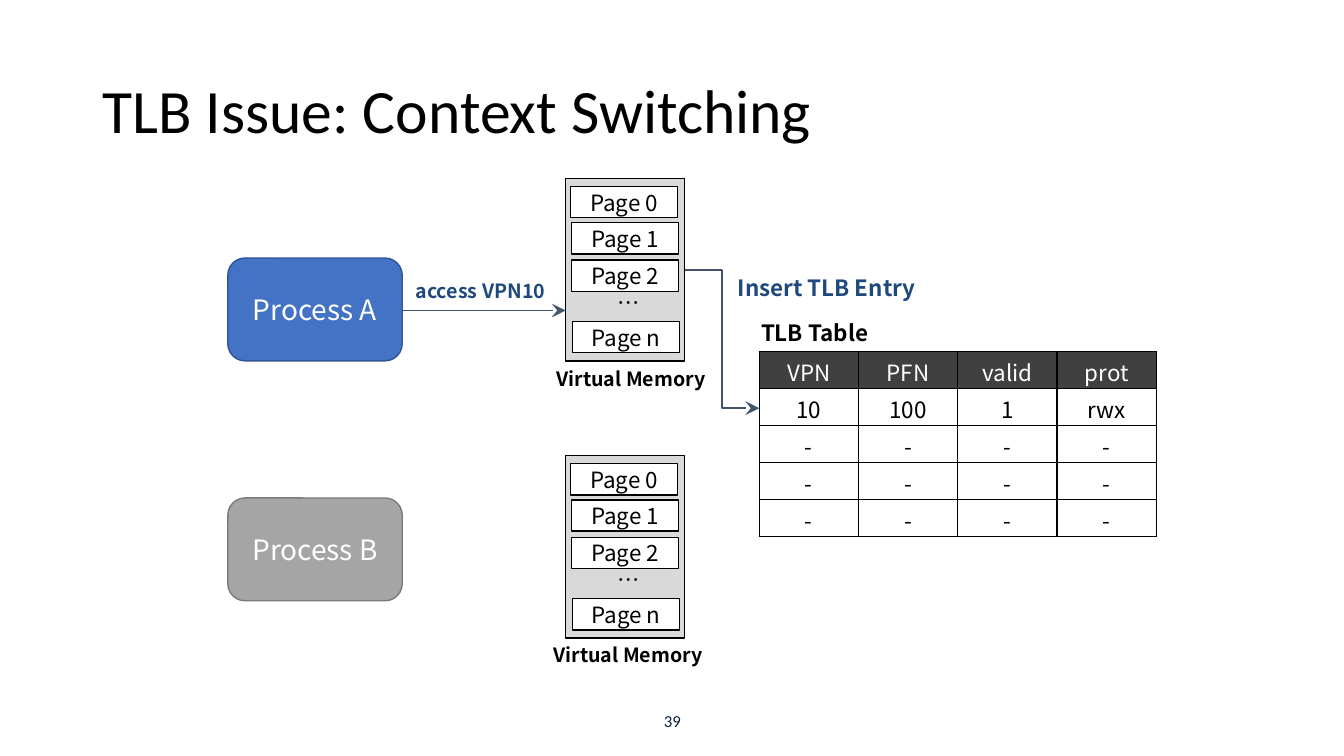
from pptx import Presentation
from pptx.dml.color import RGBColor
from pptx.enum.shapes import MSO_CONNECTOR, MSO_SHAPE
from pptx.enum.text import MSO_ANCHOR, PP_ALIGN
from pptx.oxml.ns import qn
from pptx.util import Inches, Pt
from lxml import etree

RECT, ROUND = MSO_SHAPE.RECTANGLE, MSO_SHAPE.ROUNDED_RECTANGLE
STRAIGHT, ELBOW = MSO_CONNECTOR.STRAIGHT, MSO_CONNECTOR.ELBOW
TOP, MIDDLE = MSO_ANCHOR.TOP, MSO_ANCHOR.MIDDLE
LEFT, CENTER = PP_ALIGN.LEFT, PP_ALIGN.CENTER
SANS = "Noto Sans CJK KR"
BLACK, WHITE, NAVY, SLATE = "000000", "FFFFFF", "1F497D", "44546A"


def color(code):
    return RGBColor.from_string(code)


def write(frame, text, size, ink=BLACK, bold=False, font=SANS, align=CENTER,
          **form):
    """Put one styled paragraph in a text frame; form holds frame settings."""
    for name, value in form.items():
        setattr(frame, name, value)
    para = frame.paragraphs[0]
    para.alignment = align
    run = para.add_run()
    run.text = text
    for name, value in {"size": Pt(size), "bold": bold, "name": font}.items():
        setattr(run.font, name, value)
    run.font.color.rgb = color(ink)
    return para


deck = Presentation()
deck.slide_width, deck.slide_height = Inches(13.33), Inches(7.5)
slide = deck.slides.add_slide(deck.slide_layouts[6])
shapes = slide.shapes

# Boxes: kind, left, top, width, height, fill, line, text, size, ink
boxes = [
    (ROUND, 2.26, 2.56, 1.73, 1.02, "4472C4", "2F5597", "Process A", 20, WHITE),
    (ROUND, 2.26, 4.94, 1.73, 1.02, "A5A5A5", "7A7A7A", "Process B", 20, WHITE),
]
pages = [("Page 0", 5.66, 0.08), ("Page 1", 5.67, 0.44),
         ("Page 2", 5.67, 0.81), ("Page n", 5.68, 1.42)]
for top in (1.77, 4.52):
    boxes.append((RECT, 5.61, top, 1.18, 1.81, "D9D9D9", BLACK, "", 16, BLACK))
    for name, left, drop in pages:
        boxes.append((RECT, left, top + drop, 1.06, 0.31, WHITE, BLACK,
                      name, 16, BLACK))

for kind, left, top, width, height, fill, line, text, size, ink in boxes:
    box = shapes.add_shape(kind, Inches(left), Inches(top),
                           Inches(width), Inches(height))
    box.shadow.inherit = False
    box.fill.solid()
    box.fill.fore_color.rgb = color(fill)
    box.line.color.rgb = color(line)
    box.line.width = Pt(1)
    if text:
        write(box.text_frame, text, size, ink, vertical_anchor=MIDDLE,
              margin_left=0, margin_right=0)

# Labels: text, left, top, width, height, format
head = {"size": 44, "font": "Calibri", "align": LEFT, "vertical_anchor": MIDDLE}
foot = {"size": 12, "font": "Calibri", "ink": "0F243E",
        "vertical_anchor": MIDDLE}
memo = {"size": 14, "bold": True}
dots = {"size": 16, "align": LEFT}
labels = [
    ("TLB Issue: Context Switching", 0.92, 0.4, 11.5, 1.45, head),
    ("39", 4.42, 6.95, 4.5, 0.4, foot),
    ("TLB Table", 7.45, 3.12, 1.54, 0.37, dots | {"bold": True}),
    ("Virtual Memory", 5.3, 3.59, 1.92, 0.34, memo),
    ("Virtual Memory", 5.27, 6.33, 1.92, 0.34, memo),
    ("…", 6.03, 2.82, 1.16, 0.37, dots),
    ("…", 6.03, 5.57, 1.16, 0.37, dots),
    ("access VPN10", 3.67, 2.72, 2.19, 0.34, memo | {"ink": NAVY}),
    ("Insert TLB Entry", 7.22, 2.67, 2.19, 0.37,
     dots | {"bold": True, "ink": NAVY}),
]
for text, left, top, width, height, form in labels:
    label = shapes.add_textbox(Inches(left), Inches(top),
                               Inches(width), Inches(height))
    para = write(label.text_frame, text, word_wrap=True, **form)
    if form is head:
        para.line_spacing = 0.9

# TLB table
rows = [["VPN", "PFN", "valid", "prot"], ["10", "100", "1", "rwx"]]
rows += [["-"] * 4] * 3
frame = shapes.add_table(5, 4, Inches(7.53), Inches(3.49),
                         Inches(3.94), Inches(1.83))
table = frame.table
table.first_row = table.horz_banding = False
for r, row in enumerate(rows):
    for c, text in enumerate(row):
        cell = table.cell(r, c)
        cell.fill.solid()
        cell.fill.fore_color.rgb = color(WHITE if r else "404040")
        cell.vertical_anchor = TOP
        cell.margin_top, cell.margin_bottom = Inches(0.04), 0
        write(cell.text_frame, text, 16, BLACK if r else WHITE)
        props = cell._tc.get_or_add_tcPr()
        for i, side in enumerate(("lnL", "lnR", "lnT", "lnB")):
            edge = etree.Element(qn("a:" + side), w=str(Pt(1)))
            solid = etree.SubElement(edge, qn("a:solidFill"))
            etree.SubElement(solid, qn("a:srgbClr"), val=BLACK)
            props.insert(i, edge)

# Arrows
arrows = [(STRAIGHT, 3.99, 3.08, 5.61, 3.08), (ELBOW, 6.79, 2.68, 7.53, 4.05)]
for kind, *ends in arrows:
    arrow = shapes.add_connector(kind, *map(Inches, ends))
    arrow.line.color.rgb = color(SLATE)
    arrow.line.width = Pt(1.25)
    etree.SubElement(arrow.line._get_or_add_ln(), qn("a:tailEnd"),
                     type="stealth", w="lg", len="lg")
    etree.SubElement(arrow._element.spPr, qn("a:effectLst"))

deck.save("out.pptx")
